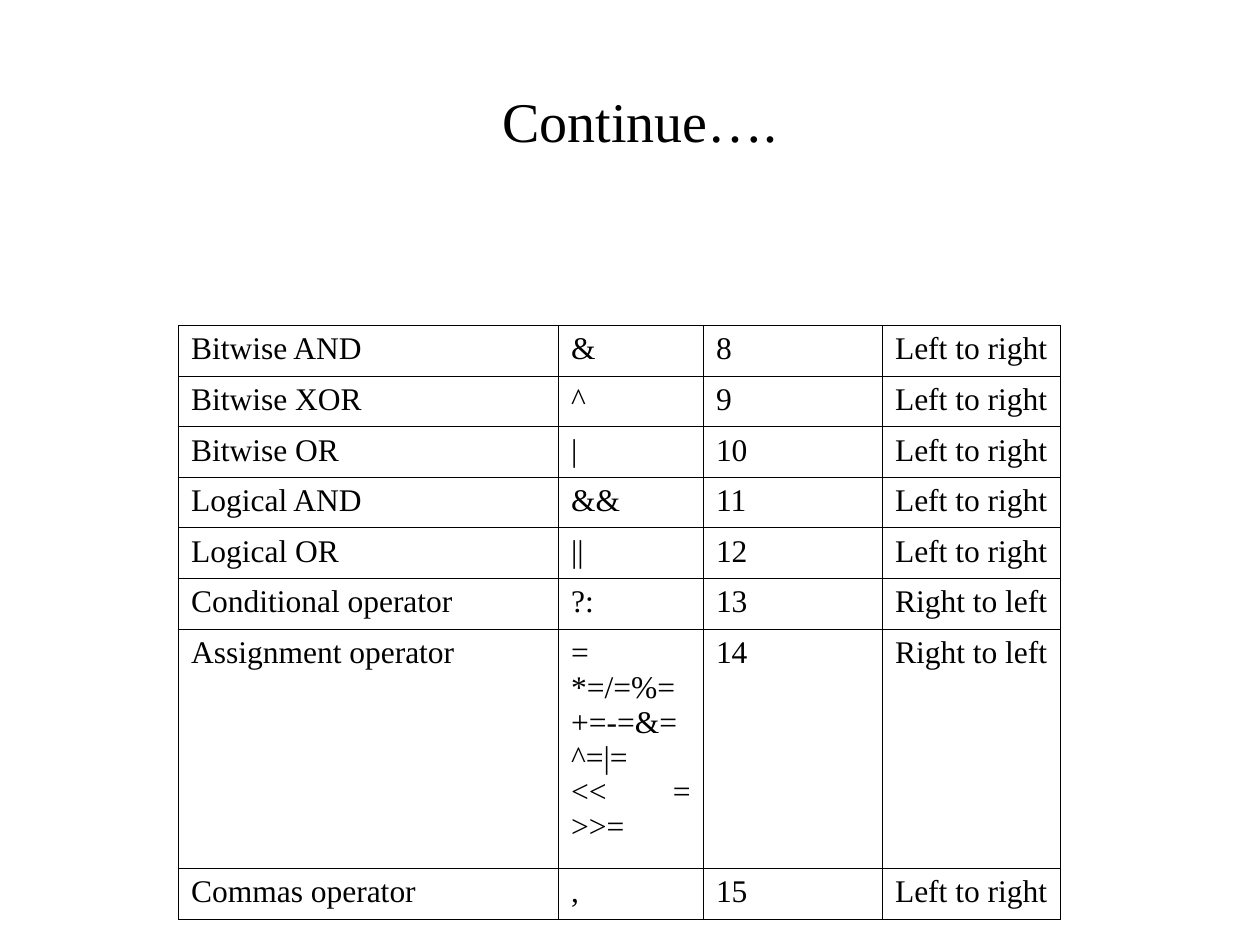
from lxml import etree
from pptx import Presentation
from pptx.dml.color import RGBColor
from pptx.enum import text
from pptx.oxml import ns
from pptx.util import Cm, Pt

FONT = "Times New Roman"
BLACK = "000000"
COLUMN_WIDTHS = (7.66, 2.92, 3.61, 3.59)
ROW_HEIGHT = 1.02
ASSIGNMENT_HEIGHT = 4.82
LEFT_TO_RIGHT = "Left to right"
RIGHT_TO_LEFT = "Right to left"
OPERATORS = (
    ("Bitwise AND", "&", "8", LEFT_TO_RIGHT),
    ("Bitwise XOR", "^", "9", LEFT_TO_RIGHT),
    ("Bitwise OR", "|", "10", LEFT_TO_RIGHT),
    ("Logical AND", "&&", "11", LEFT_TO_RIGHT),
    ("Logical OR", "||", "12", LEFT_TO_RIGHT),
    ("Conditional operator", "?:", "13", RIGHT_TO_LEFT),
    ("Assignment operator", "=\n*=/=%=\n+=-=&=\n^=|=\n<< = >>=", "14", RIGHT_TO_LEFT),
    ("Commas operator", ",", "15", LEFT_TO_RIGHT),
)


def color(value):
    """Turn a hex string into a colour."""
    return RGBColor.from_string(value)


def write_text(frame, content, size, alignment):
    """Fill a text frame, one paragraph per line of content."""
    frame.text = content
    frame.word_wrap = True
    for paragraph in frame.paragraphs:
        paragraph.alignment = alignment
        paragraph.font.name = FONT
        paragraph.font.size = Pt(size)
        paragraph.font.color.rgb = color(BLACK)


def add_title(slide, content):
    """Add the centred heading."""
    shape = slide.shapes.add_textbox(Cm(1.9), Cm(0.84), Cm(22.02), Cm(3.18))
    write_text(shape.text_frame, content, 32, text.PP_ALIGN.CENTER)
    shape.text_frame.vertical_anchor = text.MSO_ANCHOR.MIDDLE


def set_borders(cell, line_color, width):
    """Draw a solid line on all four sides of a cell."""
    properties = cell._tc.get_or_add_tcPr()
    for position, side in enumerate(("a:lnL", "a:lnR", "a:lnT", "a:lnB")):
        line = etree.Element(ns.qn(side), w=str(Pt(width)))
        fill = etree.SubElement(line, ns.qn("a:solidFill"))
        etree.SubElement(fill, ns.qn("a:srgbClr"), val=line_color)
        properties.insert(position, line)


def add_operator_table(slide):
    """Add the table of operators, precedence and associativity."""
    heights = [ASSIGNMENT_HEIGHT if "\n" in row[1] else ROW_HEIGHT for row in OPERATORS]
    table = slide.shapes.add_table(
        len(OPERATORS), len(COLUMN_WIDTHS), Cm(3.6), Cm(6.56),
        Cm(sum(COLUMN_WIDTHS)), Cm(sum(heights)),
    ).table
    table.first_row = False
    table.horz_banding = False
    for column, width in zip(table.columns, COLUMN_WIDTHS):
        column.width = Cm(width)
    for row, height, contents in zip(table.rows, heights, OPERATORS):
        row.height = Cm(height)
        for cell, content in zip(row.cells, contents):
            write_text(cell.text_frame, content, 18, text.PP_ALIGN.JUSTIFY)
            cell.fill.background()
            set_borders(cell, BLACK, 0.45)


def main():
    """Build and save the slide."""
    presentation = Presentation()
    presentation.slide_width = Cm(25.4)
    presentation.slide_height = Cm(19.05)
    slide = presentation.slides.add_slide(presentation.slide_layouts[6])
    add_title(slide, "Continue….")
    add_operator_table(slide)
    presentation.save("out.pptx")


main()
